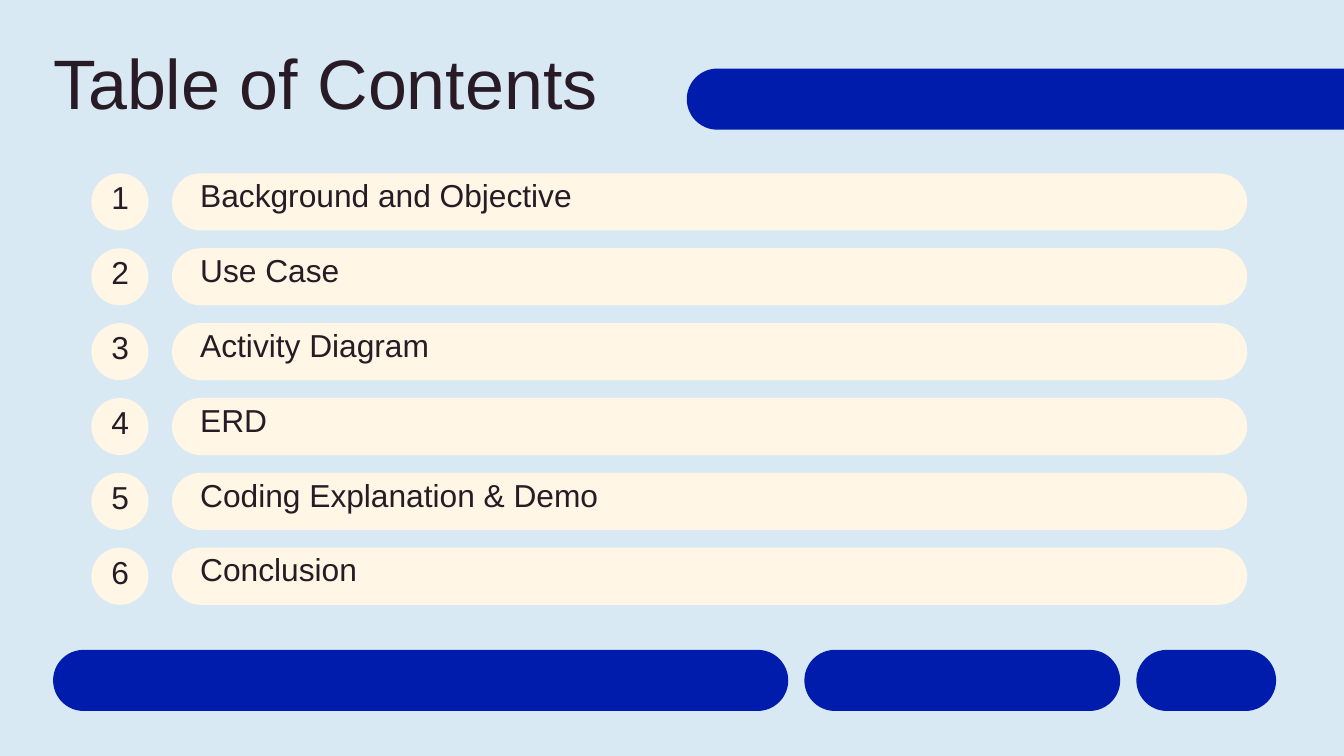
from pptx import Presentation
from pptx import util as u
from pptx.dml.color import RGBColor
from pptx.enum import shapes, text

PX = 9144
COLORS = {"background": "D9E9F4", "bar": "001CAD", "cream": "FFF6E5", "ink": "291B25"}
FONT = "Arial"
TOPICS = [
    "Background and Objective",
    "Use Case",
    "Activity Diagram",
    "ERD",
    "Coding Explanation & Demo",
    "Conclusion",
]


def px(value):
    """Turn px into EMU."""
    return u.Emu(round(value * PX))


def add_filled(slide, kind, left, top, width, height, color):
    """Add a flat preset shape without outline."""
    shape = slide.shapes.add_shape(kind, px(left), px(top), px(width), px(height))
    shape.shadow.inherit = False
    shape.fill.solid()
    shape.fill.fore_color.rgb = RGBColor.from_string(COLORS[color])
    shape.line.fill.background()
    return shape


def add_pill(slide, left, top, width, height, color):
    """Add a bar with fully rounded ends."""
    kind = shapes.MSO_SHAPE.ROUNDED_RECTANGLE
    shape = add_filled(slide, kind, left, top, width, height, color)
    shape.adjustments[0] = 0.5


def add_label(slide, left, top, width, height, words, size, spacing, centred=False):
    """Add one line of text in a box without margins."""
    box = slide.shapes.add_textbox(px(left), px(top), px(width), px(height))
    frame = box.text_frame
    frame.word_wrap = True
    frame.margin_left = frame.margin_top = frame.margin_right = frame.margin_bottom = 0
    frame.text = words
    paragraph = frame.paragraphs[0]
    paragraph.line_spacing = u.Pt(spacing)
    paragraph.alignment = text.PP_ALIGN.CENTER if centred else text.PP_ALIGN.LEFT
    font = paragraph.runs[0].font
    font.name, font.size = FONT, u.Pt(size)
    font.color.rgb = RGBColor.from_string(COLORS["ink"])


def add_header(slide, left, top, width, height):
    """Place the title and the bar that runs over the right edge."""
    bar_left = 943
    add_label(slide, left, top, 922, height, "Table of Contents", 75, 80.2)
    add_pill(slide, left + bar_left, top + 30, width - bar_left, 91, "bar")


def add_topic(slide, left, top, width, height, number, topic):
    """Place one numbered row of the contents."""
    pill_left = 120
    add_filled(slide, shapes.MSO_SHAPE.OVAL, left, top, height, height, "cream")
    add_pill(slide, left + pill_left, top, width - pill_left, height, "cream")
    add_label(slide, left + 2, top + 13, 82, 63, str(number), 34, 36.4, centred=True)
    add_label(slide, left + 162, top + 10, 880, 63, topic, 34, 36.4)


def add_contents(slide, left, top, width, height):
    """Spread the topic rows evenly over the box."""
    row_height = 85
    pitch = (height - row_height) / (len(TOPICS) - 1)
    for index, topic in enumerate(TOPICS):
        row_top = top + index * pitch
        add_topic(slide, left, row_top, width, row_height, index + 1, topic)


def add_footer(slide, left, top, height):
    """Place the row of shrinking bars."""
    gap = 24
    for width in (1094, 470, 208):
        add_pill(slide, left, top, width, height, "bar")
        left += width + gap


def main():
    """Build and save the slide."""
    presentation = Presentation()
    presentation.slide_width, presentation.slide_height = px(2000), px(1125)
    slide = presentation.slides.add_slide(presentation.slide_layouts[6])
    slide.background.fill.solid()
    slide.background.fill.fore_color.rgb = RGBColor.from_string(COLORS["background"])
    add_header(slide, 79, 72, 2013, 139)
    add_contents(slide, 136, 258, 1720, 642)
    add_footer(slide, 79, 967, 91)
    presentation.save("out.pptx")


if __name__ == "__main__":
    main()
